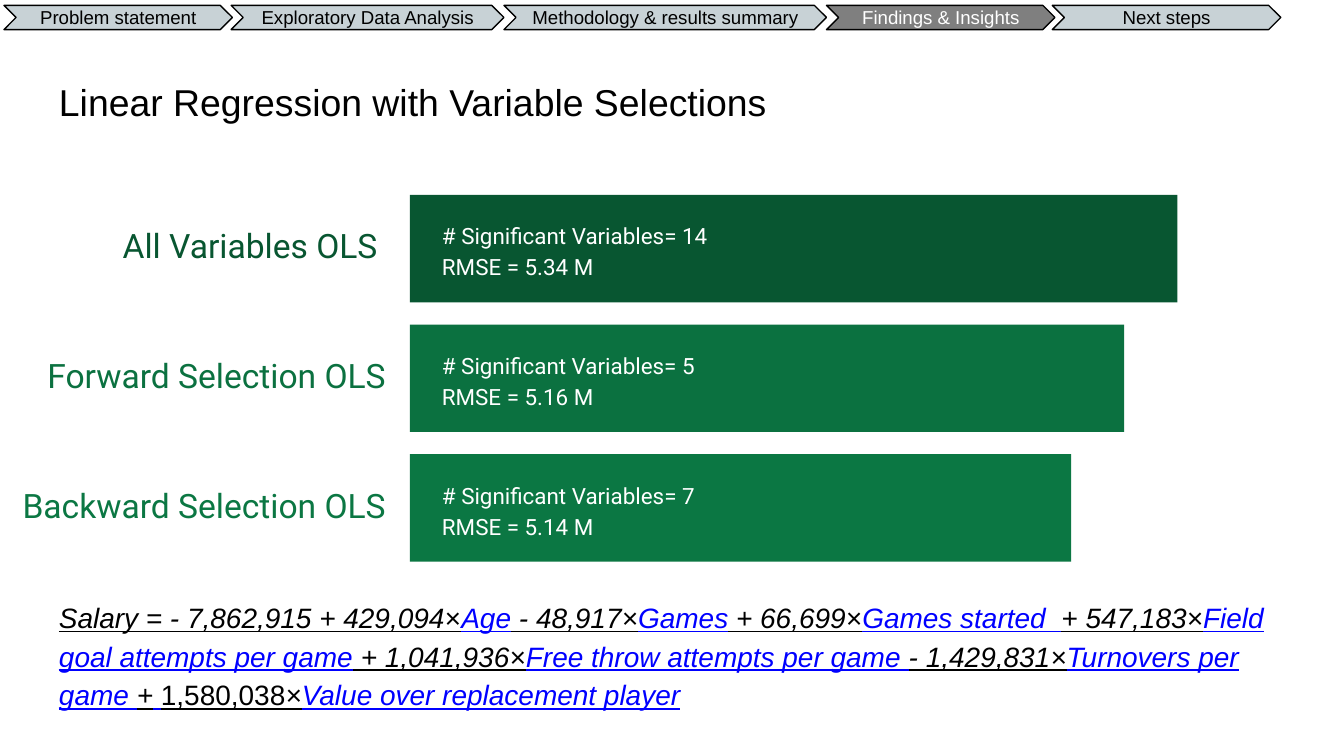
from dataclasses import dataclass

from pptx import Presentation
from pptx.dml.color import RGBColor
from pptx.enum.shapes import MSO_SHAPE
from pptx.enum.text import MSO_ANCHOR, PP_ALIGN
from pptx.util import Inches, Pt


@dataclass(frozen=True)
class Theme:
    ink: str = "000000"
    paper: str = "FFFFFF"
    step: str = "C8D2D6"
    active: str = "7F7F7F"
    term: str = "0000FF"
    sans: str = "Arial"
    accent: str = "Roboto"
    title: int = 20
    label: int = 18
    formula: int = 15
    body: int = 12
    nav: int = 10


THEME = Theme()

# Name, left, width
STEPS = [
    ("Problem statement", 0.03, 1.7),
    ("Exploratory Data Analysis", 1.72, 2.03),
    ("Methodology & results summary", 3.75, 2.4),
    ("Findings & Insights", 6.15, 1.7),
    ("Next steps", 7.83, 1.7),
]
CURRENT = "Findings & Insights"

# Name, significant variables, error, colour
MODELS = [
    ("All Variables OLS ", 14, "5.34", "085631"),
    ("Forward Selection OLS", 5, "5.16", "0B7140"),
    ("Backward Selection OLS", 7, "5.14", "0B7743"),
]

# Factor, variable
TERMS = [
    ("Salary = - 7,862,915 + 429,094×", "Age"),
    (" - 48,917×", "Games"),
    (" + 66,699×", "Games started  "),
    ("+ 547,183×", "Field goal attempts per game"),
    (" + 1,041,936×", "Free throw attempts per game "),
    ("- 1,429,831×", "Turnovers per game "),
]


def rgb(code):
    return RGBColor.from_string(code)


def write(shape, paras, size, font=THEME.sans, color=THEME.ink, align=PP_ALIGN.LEFT,
          anchor=MSO_ANCHOR.MIDDLE, space=1.0, pad=0.05, italic=False, line=False):
    """Fill a shape; each paragraph is a list of (text, changes) runs."""
    frame = shape.text_frame
    frame.word_wrap = True
    frame.vertical_anchor = anchor
    frame.margin_left = frame.margin_right = Inches(0.1)
    frame.margin_top = frame.margin_bottom = Inches(pad)
    for i, runs in enumerate(paras):
        para = frame.paragraphs[0] if i == 0 else frame.add_paragraph()
        para.alignment = align
        para.line_spacing = space
        for text, change in runs:
            run = para.add_run()
            run.text = text
            run.font.name = font
            run.font.size = Pt(size)
            run.font.italic = change.get("italic", italic)
            run.font.underline = line
            run.font.color.rgb = rgb(change.get("color", color))


def add_text(shapes, box, paras, size, **style):
    write(shapes.add_textbox(*map(Inches, box)), paras, size, **style)


def add_block(shapes, kind, box, fill, edge=None):
    shape = shapes.add_shape(kind, *map(Inches, box))
    shape.shadow.inherit = False
    shape.fill.solid()
    shape.fill.fore_color.rgb = rgb(fill)
    if edge:
        shape.line.color.rgb = rgb(edge)
        shape.line.width = Pt(0.75)
    else:
        shape.line.fill.background()
    return shape


def add_step(shapes, box, name, active):
    fill = THEME.active if active else THEME.step
    arrow = add_block(shapes, MSO_SHAPE.CHEVRON, box, fill, THEME.ink)
    write(arrow, [[(name, {})]], THEME.nav, align=PP_ALIGN.CENTER,
          color=THEME.paper if active else THEME.ink)


def add_model(shapes, box, model, width):
    """Place a right-aligned label and a bar of the given width beside it."""
    left, top, label, height = box
    name, count, error, color = model
    group = shapes.add_group_shape().shapes
    add_text(group, (left, top + 0.05, label, height - 0.11), [[(name, {})]],
             THEME.label, font=THEME.accent, color=color, align=PP_ALIGN.RIGHT,
             space=0.9)
    bar = left + label + 0.08
    add_block(group, MSO_SHAPE.RECTANGLE, (bar, top, width, height), color)
    facts = [f"# Significant Variables= {count}", f"RMSE = {error} M"]
    add_text(group, (bar + 0.14, top + 0.09, width - 0.5, height - 0.17),
             [[(fact, {})] for fact in facts], THEME.body,
             font=THEME.accent, color=THEME.paper, space=1.15)


def add_models(shapes, box):
    left, top, width, height = box
    label, bar, last = 2.97, 0.8, 4.92
    first = width - label - 0.08
    gaps = len(MODELS) - 1
    for i, model in enumerate(MODELS):
        row = top + i * (height - bar) / gaps
        add_model(shapes, (left, row, label, bar), model,
                  first - i * (first - last) / gaps)


def add_formula(shapes, box):
    blue = {"color": THEME.term}
    runs = []
    for factor, name in TERMS:
        runs += [(factor, {}), (name, blue)]
    runs += [("+", {}), (" ", blue), ("1,580,038", {"italic": False}),
             ("×", {}), ("Value over replacement player", blue)]
    add_text(shapes, box, [runs], THEME.formula, anchor=MSO_ANCHOR.TOP,
             space=1.15, pad=0.1, italic=True, line=True)


def main():
    deck = Presentation()
    deck.slide_width = Inches(10)
    deck.slide_height = deck.slide_width * 9 // 16
    shapes = deck.slides.add_slide(deck.slide_layouts[6]).shapes
    add_text(shapes, (0.34, 0.49, 9.32, 0.63),
             [[("Linear Regression with Variable Selections", {})]],
             THEME.title, anchor=MSO_ANCHOR.TOP, pad=0.1)
    for name, left, width in STEPS:
        add_step(shapes, (left, 0.04, width, 0.18), name, name == CURRENT)
    add_models(shapes, (0, 1.45, 8.76, 2.73))
    add_formula(shapes, (0.34, 4.33, 9.19, 1.08))
    deck.save("out.pptx")


if __name__ == "__main__":
    main()
